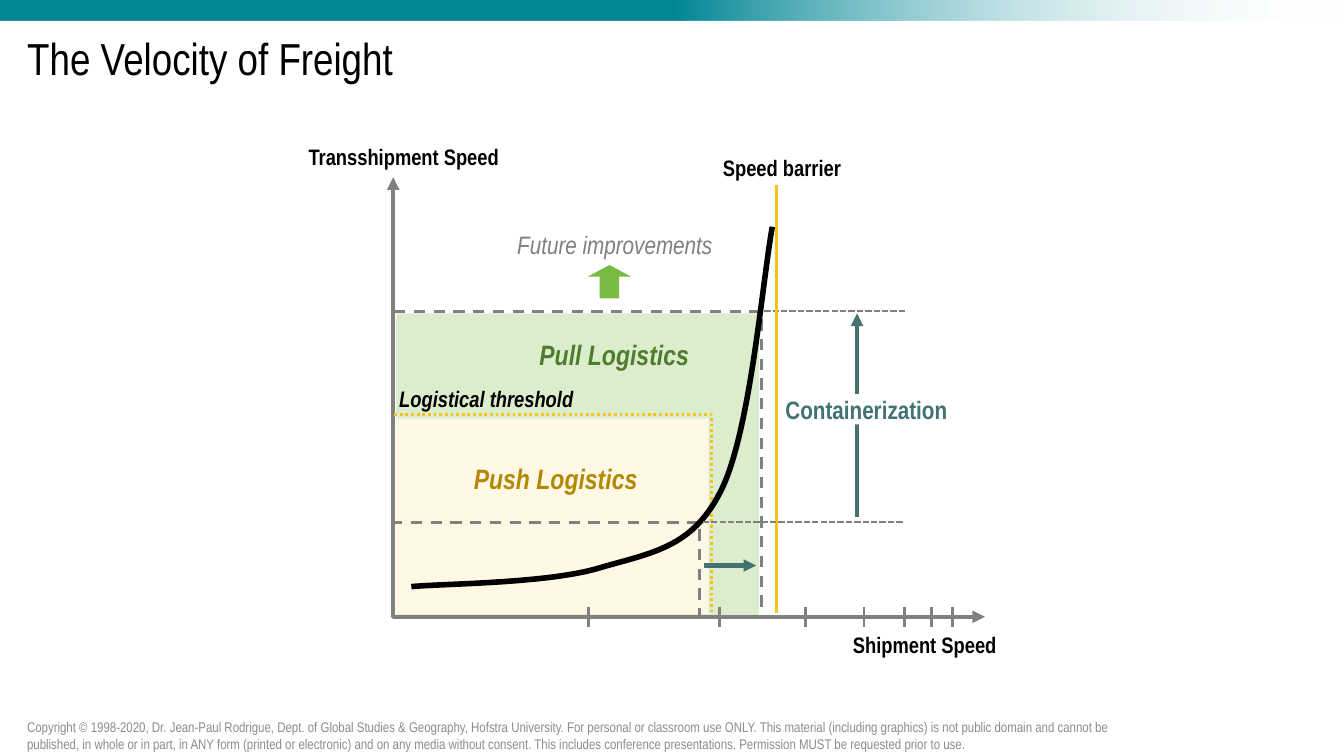
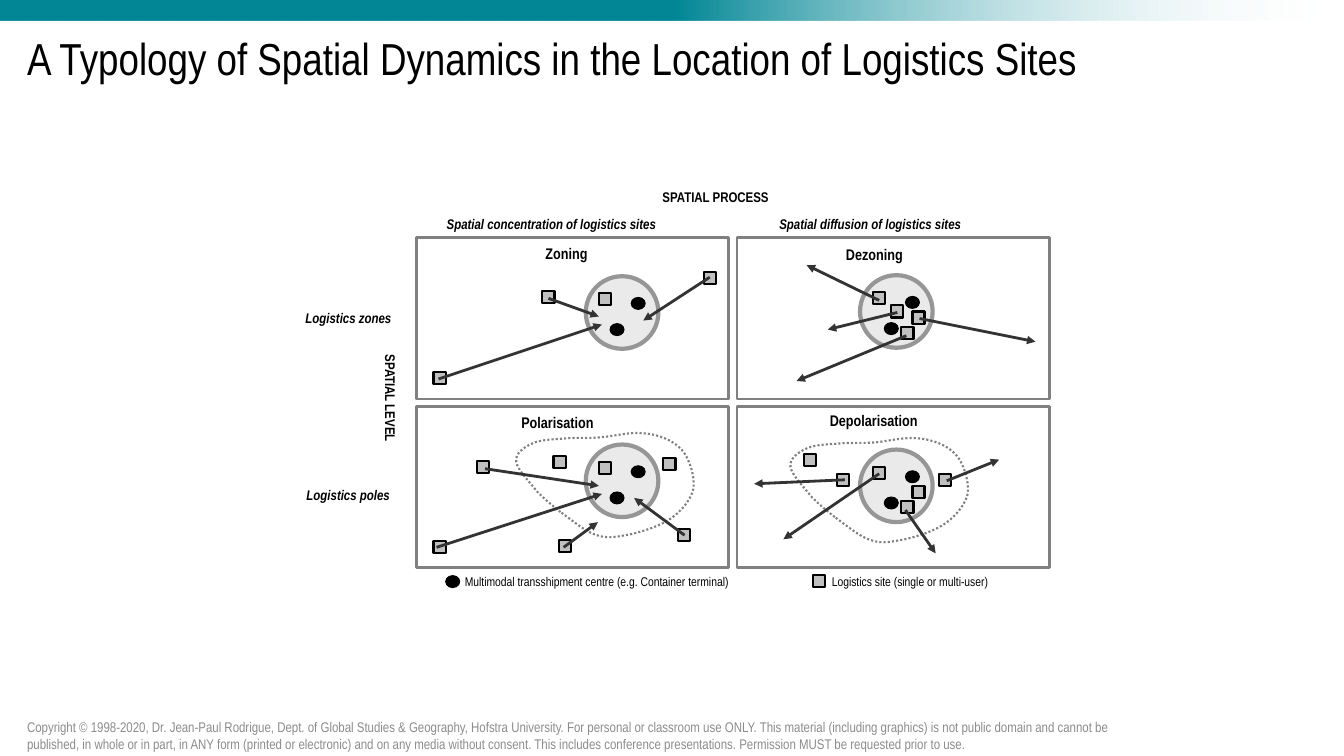
from dataclasses import dataclass
from typing import Any

from lxml import etree
from pptx import Presentation
from pptx import util as u
from pptx.dml.color import RGBColor
from pptx.enum import dml, shapes, text
from pptx.oxml.ns import qn

FONT = "Arial Narrow"
COLORS = {
    "band": "008695", "white": "FFFFFF", "black": "000000", "footer": "8C8C8C",
    "gray": "808080", "pull": "DBEDCD", "pull_text": "507D2D",
    "push": "FEF8E4", "push_text": "B38807", "gold": "F7C120",
    "teal": "427272", "green": "78BB44", "site": "C0C0C0",
    "hub": "EAEAEA", "hub_line": "969696", "arrow": "333333",
}
DASH = dml.MSO_LINE.DASH
DOTTED = dml.MSO_LINE.ROUND_DOT
SHORT_DASH = dml.MSO_LINE.SQUARE_DOT
RECTANGLE = shapes.MSO_SHAPE.RECTANGLE
OVAL = shapes.MSO_SHAPE.OVAL
COPYRIGHT = (
    "Copyright © 1998-2020, Dr. Jean-Paul Rodrigue, Dept. of Global Studies & Geography, "
    "Hofstra University. For personal or classroom use ONLY. This material (including "
    "graphics) is not public domain and cannot be published, in whole or in part, in ANY "
    "form (printed or electronic) and on any media without consent. This includes "
    "conference presentations. Permission MUST be requested prior to use."
)

PANEL_SIZE = (3.1, 1.6)
PANEL_PITCH = (3.18, 1.67)
HUB_TERMINALS = [(0.45, 0.21), (0.24, 0.47)]
HUB_SITE = (0.13, 0.17)
POLE_CURVE = [
    (-0.25, 0.67),
    (-0.35, 0.59), (-0.4, 0.55), (-0.48, 0.47),
    (-0.55, 0.38), (-0.68, 0.25), (-0.69, 0.17),
    (-0.7, 0.09), (-0.62, 0.03), (-0.53, -0.01),
    (-0.45, -0.05), (-0.31, -0.05), (-0.2, -0.06),
    (-0.09, -0.07), (0.01, -0.06), (0.14, -0.07),
    (0.27, -0.08), (0.45, -0.13), (0.58, -0.11),
    (0.72, -0.1), (0.87, -0.04), (0.95, 0.05),
    (1.03, 0.14), (1.08, 0.31), (1.07, 0.43),
    (1.05, 0.54), (0.95, 0.66), (0.85, 0.73),
    (0.74, 0.81), (0.57, 0.86), (0.45, 0.89),
    (0.33, 0.91), (0.23, 0.94), (0.11, 0.9),
    (0, 0.87), (-0.15, 0.74), (-0.25, 0.67),
]
SPEED_CURVE = [
    (0.18, 4.06),
    (0.49, 4.03), (1.55, 4.03), (2.06, 3.87),
    (2.58, 3.72), (2.97, 3.67), (3.25, 3.11),
    (3.54, 2.54), (3.66, 1.04), (3.76, 0.49),
]
PANELS = [
    dict(cell=(0, 0), title="Zoning", title_box=(1.28, 0.06, 0.42), hub=(1.68, 0.38),
         pole=False,
         sites=[(1.25, 0.53), (0.17, 1.33), (2.85, 0.34)],
         arrows=[(1.31, 0.6, 1.81, 0.78), (0.22, 1.4, 1.84, 0.86),
                 (2.91, 0.39, 2.25, 0.82)]),
    dict(cell=(1, 0), title="Dezoning", title_box=(1.08, 0.07, 0.57), hub=(1.22, 0.37),
         pole=False,
         sites=[(1.53, 0.67), (1.74, 0.73), (1.63, 0.88)],
         arrows=[(1.68, 0.97, 0.59, 1.42), (1.59, 0.74, 0.9, 0.91),
                 (1.41, 0.62, 0.69, 0.27), (1.81, 0.8, 2.96, 1.03)]),
    dict(cell=(0, 1), title="Polarisation", title_box=(1.04, 0.07, 0.72), hub=(1.68, 0.38),
         pole=True,
         sites=[(0.6, 0.54), (0.17, 1.34), (2.45, 0.51), (1.36, 0.49),
                (2.59, 1.22), (1.41, 1.33)],
         arrows=[(0.68, 0.62, 1.81, 0.79), (0.2, 1.4, 1.84, 0.87),
                 (2.66, 1.28, 2.16, 0.91), (1.46, 1.4, 1.8, 1.15)]),
    dict(cell=(1, 1), title="Depolarisation", title_box=(0.92, 0.05, 0.88), hub=(1.22, 0.43),
         pole=True,
         sites=[(0.99, 0.67), (1.74, 0.79), (1.63, 0.94), (0.66, 0.47), (2, 0.67)],
         arrows=[(1.67, 1.03, 1.97, 1.46), (1.07, 0.73, 0.17, 0.77),
                 (1.41, 0.67, 0.46, 1.32), (2.08, 0.74, 2.6, 0.53)]),
]


def rgb(name):
    return RGBColor.from_string(COLORS[name])


def format_text(frame, size, color, bold=False, italic=False):
    for para in frame.paragraphs:
        for span in para.runs:
            font = span.font
            font.name, font.size = FONT, u.Pt(size)
            font.bold, font.italic = bold, italic
            font.color.rgb = rgb(color)


def paint_fill(shape, color):
    if color:
        shape.fill.solid()
        shape.fill.fore_color.rgb = rgb(color)
    else:
        shape.fill.background()


def paint_line(shape, color, width, dash=None, ends=()):
    if not color:
        shape.line.fill.background()
        return
    shape.line.color.rgb = rgb(color)
    shape.line.width = u.Pt(width)
    if dash:
        shape.line.dash_style = dash
    outline = shape.element.spPr.find(qn("a:ln"))
    for end in ends:
        etree.SubElement(outline, qn(f"a:{end}"), type="triangle")


def bend_segments(shape):
    route = next(shape.element.iter(qn("a:path")))
    segments = route.findall(qn("a:lnTo"))
    for index in range(0, len(segments), 3):
        curve = etree.SubElement(route, qn("a:cubicBezTo"))
        segments[index].addprevious(curve)
        for segment in segments[index:index + 3]:
            curve.append(segment[0])
            route.remove(segment)


@dataclass
class Region:
    page: Any
    left: float = 0
    top: float = 0

    def inside(self, left, top):
        return Region(self.page, self.left + left, self.top + top)

    def place(self, x, y):
        return u.Inches(self.left + x), u.Inches(self.top + y)

    def shape(self, kind, x, y, width, height, fill=None, line=None, weight=1):
        shape = self.page.shapes.add_shape(
            kind, *self.place(x, y), u.Inches(width), u.Inches(height))
        shape.shadow.inherit = False
        paint_fill(shape, fill)
        paint_line(shape, line, weight)
        return shape

    def line(self, x1, y1, x2, y2, color, weight, dash=None, arrow=False):
        line = self.page.shapes.add_connector(
            shapes.MSO_CONNECTOR.STRAIGHT, *self.place(x1, y1), *self.place(x2, y2))
        paint_line(line, color, weight, dash, ("tailEnd",) if arrow else ())
        etree.SubElement(line.element.spPr, qn("a:effectLst"))

    def outline(self, points, color, weight, dash=None, ends=(), curved=False, close=False):
        places = [self.place(*point) for point in points]
        builder = self.page.shapes.build_freeform(*places[0], scale=1.0)
        builder.add_line_segments(places[1:], close=close)
        shape = builder.convert_to_shape()
        if curved:
            bend_segments(shape)
        shape.shadow.inherit = False
        paint_fill(shape, None)
        paint_line(shape, color, weight, dash, ends)

    def label(self, words, x, y, width, size, color="black", bold=False, italic=False,
              fill=None, rotation=0):
        box = self.page.shapes.add_textbox(
            *self.place(x, y), u.Inches(width), u.Inches(size / 60))
        box.rotation = rotation
        paint_fill(box, fill)
        frame = box.text_frame
        frame.margin_left = frame.margin_right = frame.margin_top = frame.margin_bottom = 0
        frame.word_wrap = False
        frame.auto_size = text.MSO_AUTO_SIZE.SHAPE_TO_FIT_TEXT
        frame.text = words
        format_text(frame, size, color, bold, italic)


def add_master_band(deck, page):
    band = Region(page).shape(RECTANGLE, 0, 0, 13.33, 0.2)
    band.fill.gradient()
    band.fill.gradient_angle = 0
    for stop, color, position in zip(band.fill.gradient_stops, ("band", "white"), (0.5, 1)):
        stop.color.rgb = rgb(color)
        stop.position = position
    last_color = list(band.element.spPr.iter(qn("a:srgbClr")))[-1]
    etree.SubElement(last_color, qn("a:alpha"), val="0")
    deck.slide_master.shapes.element.insert(2, band.element)


def add_page(deck, heading):
    page = deck.slides.add_slide(deck.slide_layouts[5])
    title = page.shapes.title
    title.left, title.top = u.Inches(0.17), u.Inches(0.2)
    title.width, title.height = u.Inches(13), u.Inches(0.8)
    frame = title.text_frame
    frame.text = heading
    frame.auto_size = text.MSO_AUTO_SIZE.NONE
    frame.vertical_anchor = text.MSO_ANCHOR.MIDDLE
    frame.paragraphs[0].alignment = text.PP_ALIGN.LEFT
    frame.paragraphs[0].line_spacing = 0.9
    format_text(frame, 32, "black")

    footer = page.shapes.add_textbox(
        u.Inches(0.17), u.Inches(7.1), u.Inches(10.95), u.Inches(0.4))
    frame = footer.text_frame
    frame.word_wrap = True
    frame.vertical_anchor = text.MSO_ANCHOR.MIDDLE
    frame.text = COPYRIGHT
    format_text(frame, 10, "footer")
    return page


def draw_velocity_chart(chart):
    chart.shape(RECTANGLE, 0.03, 1.35, 3.6, 3, "pull")
    chart.shape(RECTANGLE, 0.03, 2.39, 3.1, 1.94, "push")
    chart.label("Push Logistics", 0.8, 2.82, 1.63, 20, "push_text", bold=True, italic=True)
    chart.outline([(0, 0), (0, 4.36), (5.87, 4.36)], "gray", 3, ends=("headEnd", "tailEnd"))
    chart.label("Shipment Speed", 4.56, 4.5, 1.44, 16, bold=True)
    chart.label("Transshipment Speed", -0.84, -0.34, 1.91, 16, bold=True)
    chart.outline([(0.01, 1.33), (3.65, 1.33), (3.65, 4.37)], "gray", 2, DASH)
    for x in (1.94, 3.24, 4.09, 4.67, 5.07, 5.34, 5.55):
        chart.line(x, 4.26, x, 4.46, "gray", 2)
    chart.label("Pull Logistics", 1.45, 1.59, 1.49, 20, "pull_text", bold=True, italic=True)
    chart.outline([(0.01, 2.35), (3.16, 2.35), (3.16, 4.33)], "gold", 2, DOTTED)
    chart.outline([(-0.02, 3.42), (3.04, 3.42), (3.04, 4.34)], "gray", 2, DASH)
    chart.label("Speed barrier", 3.27, -0.23, 1.18, 16, bold=True)
    chart.label("Logistical threshold", 0.06, 2.06, 1.74, 16, bold=True, italic=True)
    chart.outline(SPEED_CURVE, "black", 4, curved=True)
    chart.line(3.68, 1.33, 5.08, 1.33, "gray", 1.5, SHORT_DASH)
    chart.line(4.6, 3.37, 4.6, 1.35, "teal", 3, arrow=True)
    chart.line(3.08, 3.85, 3.6, 3.85, "teal", 3, arrow=True)
    up_arrow = chart.shape(shapes.MSO_SHAPE.UP_ARROW, 1.93, 0.87, 0.43, 0.33, "green")
    up_arrow.adjustments[0], up_arrow.adjustments[1] = 0.45, 0.35
    chart.label("Future improvements", 1.23, 0.52, 1.96, 18, "gray", italic=True)
    chart.line(3.8, 0.08, 3.8, 4.32, "gold", 2)
    chart.label("Containerization", 3.89, 2.15, 1.62, 18, "teal", bold=True, fill="white")
    chart.line(3.07, 3.42, 5.07, 3.42, "gray", 1.5, SHORT_DASH)


def draw_site(region, x, y):
    region.shape(RECTANGLE, x, y, 0.12, 0.12, "site", "black", 1.5)


def draw_terminal(region, x, y):
    region.shape(OVAL, x, y, 0.14, 0.12, "black", "black", 0.63)


def draw_panel(panel, title, title_box, hub, pole, sites, arrows):
    panel.shape(RECTANGLE, 0, 0, *PANEL_SIZE, line="gray", weight=2)
    panel.label(title, *title_box, 11, bold=True)
    center = panel.inside(*hub)
    if pole:
        center.outline(POLE_CURVE, "gray", 1.5, DOTTED, curved=True, close=True)
    center.shape(OVAL, 0, 0, 0.72, 0.72, "hub", "hub_line", 3)
    draw_site(center, *HUB_SITE)
    for spot in HUB_TERMINALS:
        draw_terminal(center, *spot)
    for spot in sites:
        draw_site(panel, *spot)
    for arrow in arrows:
        panel.line(*arrow, "arrow", 2, arrow=True)


def draw_typology(grid):
    grid.label("SPATIAL PROCESS", 2.44, -0.49, 1.09, 10, bold=True)
    grid.label("SPATIAL LEVEL", -0.7, 1.52, 0.89, 10, bold=True, rotation=90)
    for words, x, y, width in (
        ("Spatial concentration of logistics sites", 0.3, -0.22, 2.09),
        ("Spatial diffusion of logistics sites", 3.6, -0.22, 1.82),
        ("Logistics zones", -1.1, 0.71, 0.86),
        ("Logistics poles", -1.09, 2.47, 0.83),
    ):
        grid.label(words, x, y, width, 10, bold=True, italic=True)
    for panel in PANELS:
        details = dict(panel)
        column, row = details.pop("cell")
        draw_panel(grid.inside(column * PANEL_PITCH[0], row * PANEL_PITCH[1]), **details)
    draw_terminal(grid, 0.29, 3.35)
    grid.label("Multimodal transshipment centre (e.g. Container terminal)", 0.48, 3.33, 2.64, 9)
    draw_site(grid, 3.93, 3.34)
    grid.label("Logistics site (single or multi-user)", 4.12, 3.33, 1.57, 9)


def main():
    deck = Presentation()
    deck.slide_width, deck.slide_height = u.Inches(13.33), u.Inches(7.5)
    velocity = add_page(deck, "The Velocity of Freight")
    add_master_band(deck, velocity)
    draw_velocity_chart(Region(velocity, 3.9, 1.76))
    typology = add_page(
        deck, "A Typology of Spatial Dynamics in the Location of Logistics Sites")
    draw_typology(Region(typology, 4.13, 2.36))
    deck.save("out.pptx")


if __name__ == "__main__":
    main()
